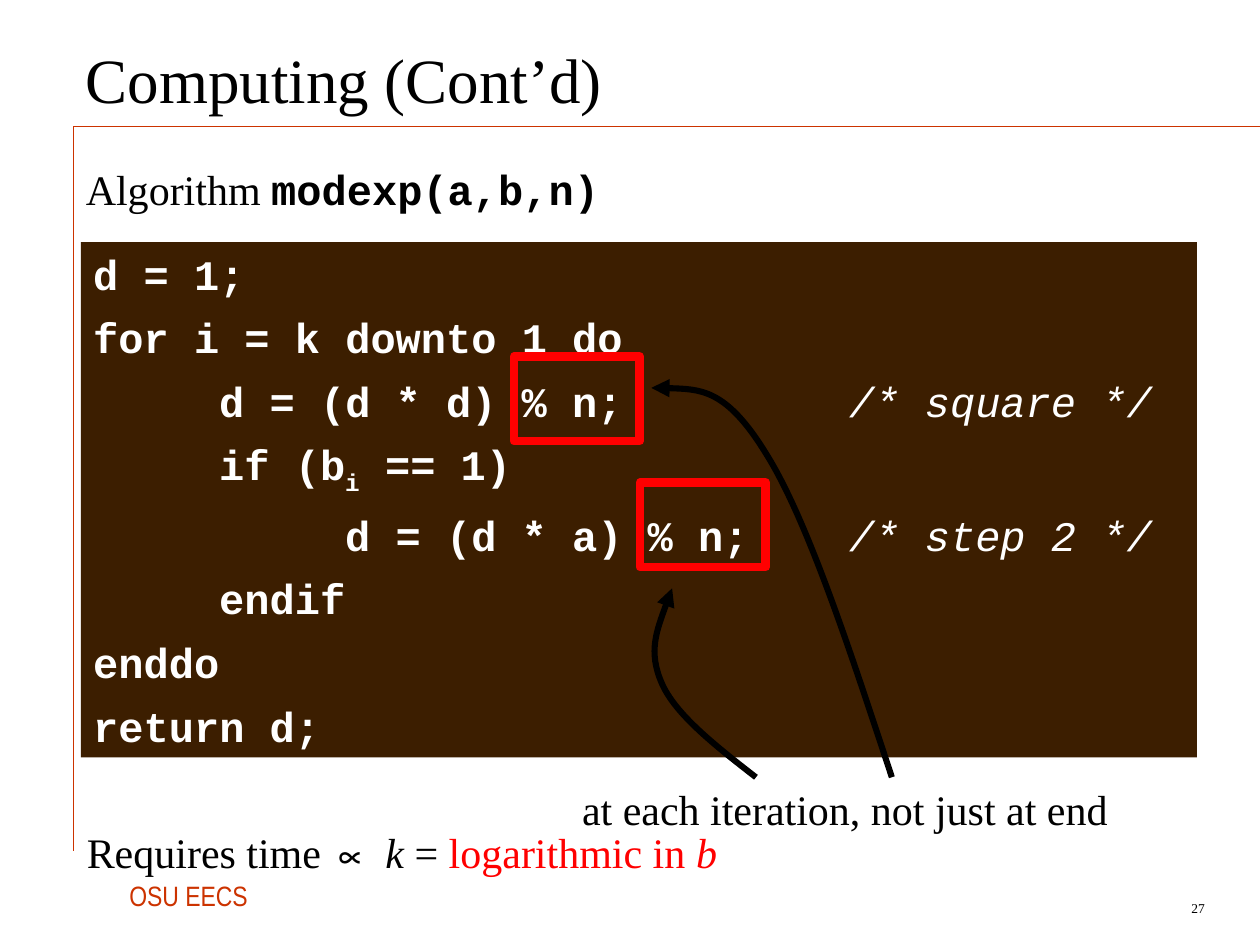
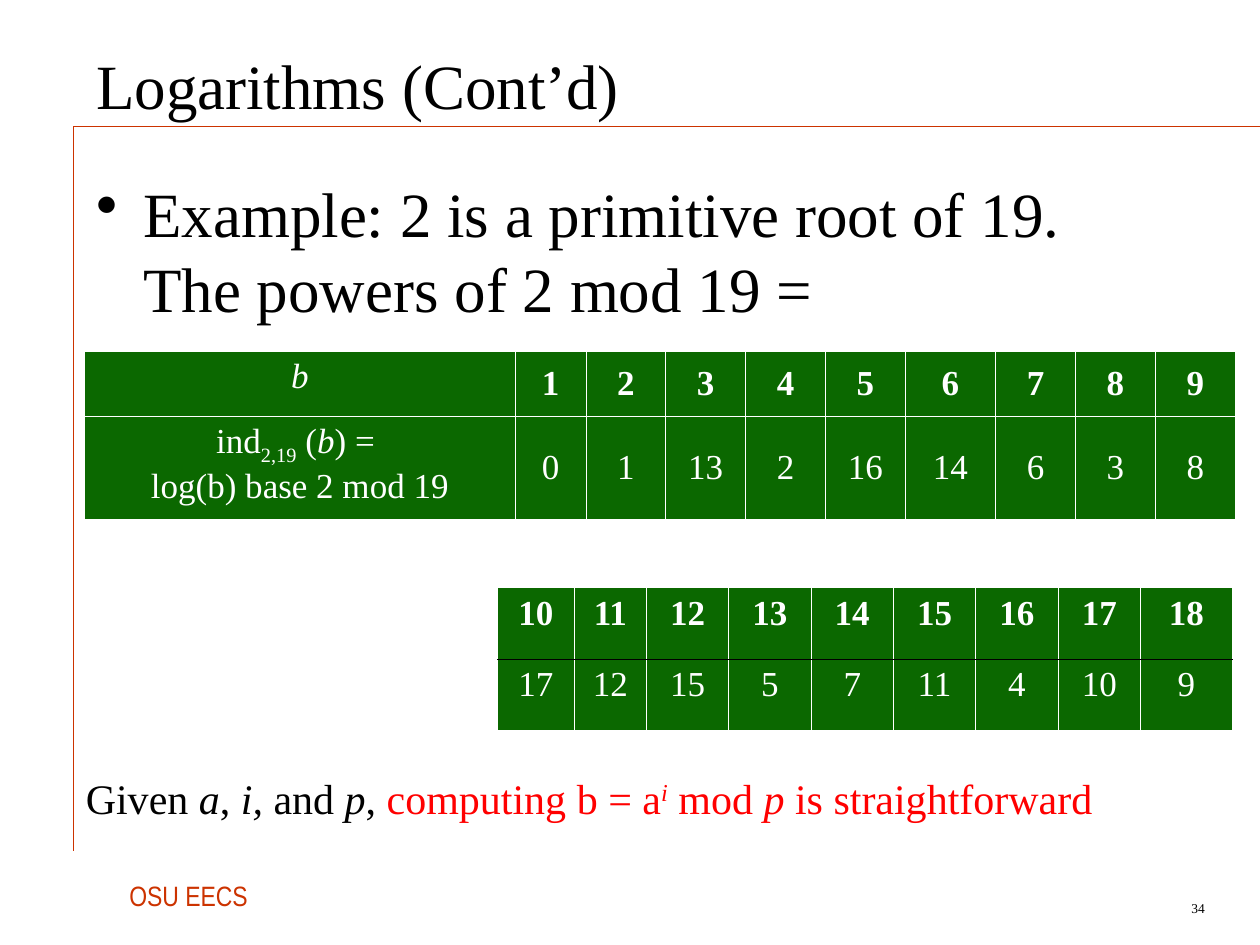
from dataclasses import dataclass

from lxml.etree import SubElement
from pptx import Presentation
from pptx.dml.color import RGBColor
from pptx.enum.shapes import MSO_CONNECTOR, MSO_SHAPE
from pptx.enum.text import MSO_ANCHOR, PP_ALIGN
from pptx.oxml.ns import qn
from pptx.util import Cm, Pt


@dataclass(frozen=True)
class Theme:
    ink: str = "000000"
    paper: str = "FFFFFF"
    accent: str = "CC3300"
    alert: str = "FF0000"
    code_fill: str = "3C1E00"
    table_fill: str = "0B6800"
    serif: str = "Times New Roman"
    sans: str = "Arial"
    narrow: str = "Arial Narrow"
    mono: str = "Courier New"
    heading: float = 36
    text: float = 24
    cell: float = 20
    footer: float = 16
    number: float = 7.7


THEME = Theme()


@dataclass(frozen=True)
class Box:
    left: float
    top: float
    width: float
    height: float

    def inside(self, right, down, width, height):
        return Box(self.left + right, self.top + down, width, height)

    def lengths(self):
        return Cm(self.left), Cm(self.top), Cm(self.width), Cm(self.height)


@dataclass(frozen=True)
class Span:
    text: str
    italic: bool = False
    bold: bool = False
    color: str = ""
    font: str = ""
    baseline: int = 0


def rgb(color):
    return RGBColor.from_string(color)


def add_spans(para, spans, size, color=THEME.ink, font=THEME.serif):
    for span in spans:
        if span.text == "\n":
            para.add_line_break()
            continue
        run = para.add_run()
        run.text = span.text
        run.font.size = Pt(size)
        run.font.name = span.font or font
        run.font.bold = span.bold
        run.font.italic = span.italic
        run.font.color.rgb = rgb(span.color or color)
        if span.baseline:
            run.font._element.set("baseline", str(span.baseline * 1000))


def add_text(page, box, spans, size=THEME.text, color=THEME.ink, font=THEME.serif,
             align=PP_ALIGN.LEFT, anchor=MSO_ANCHOR.TOP, wrap=True):
    frame = page.shapes.add_textbox(*box.lengths()).text_frame
    frame.word_wrap = wrap
    frame.vertical_anchor = anchor
    para = frame.paragraphs[0]
    para.alignment = align
    add_spans(para, spans, size, color, font)
    return para


def add_rule(page, start, end, width):
    rule = page.shapes.add_connector(MSO_CONNECTOR.STRAIGHT, *map(Cm, start + end))
    rule.line.color.rgb = rgb(THEME.accent)
    rule.line.width = Pt(width)
    SubElement(rule._element.spPr, qn("a:effectLst"))


def add_frame(page, title, title_box, number):
    corner = (1.48, 2.54)
    add_rule(page, corner, (25.4, 2.54), 0.25)
    add_rule(page, corner, (1.48, 17.15), 0.75)
    footer = add_text(page, Box(2.36, 17.58, 3.02, 0.94), [Span("OSU EECS")],
                      THEME.footer, THEME.accent, THEME.narrow, wrap=False)
    footer.space_before = Pt(4)
    add_text(page, Box(22.43, 17.98, 2.11, 0.64), [Span(number)], THEME.number,
             align=PP_ALIGN.RIGHT, anchor=MSO_ANCHOR.MIDDLE)
    add_text(page, title_box, [Span(title)], THEME.heading, anchor=MSO_ANCHOR.MIDDLE)


def add_rectangle(page, box):
    shape = page.shapes.add_shape(MSO_SHAPE.RECTANGLE, *box.lengths())
    shape.shadow.inherit = False
    return shape


def add_code(page, box, lines):
    panel = add_rectangle(page, box)
    panel.fill.solid()
    panel.fill.fore_color.rgb = rgb(THEME.code_fill)
    panel.line.fill.background()
    frame = panel.text_frame
    frame.word_wrap = True
    frame.vertical_anchor = MSO_ANCHOR.TOP
    for index, spans in enumerate(lines):
        para = frame.add_paragraph() if index else frame.paragraphs[0]
        para.alignment = PP_ALIGN.LEFT
        para.space_before = Pt(7.5)
        stops = SubElement(para._p.get_or_add_pPr(), qn("a:tabLst"))
        for position in (2.54, 5.08, 15.24):
            SubElement(stops, qn("a:tab"), pos=str(Cm(position)), algn="l")
        add_spans(para, spans, THEME.text, THEME.paper, THEME.mono)


def add_curved_arrow(page, box, points):
    places = [(Cm(box.left + right), Cm(box.top + down)) for right, down in points]
    builder = page.shapes.build_freeform(*places[0])
    builder.add_line_segments(places[1:], close=False)
    arrow = builder.convert_to_shape()
    arrow.shadow.inherit = False
    arrow.fill.background()
    arrow.line.color.rgb = rgb(THEME.ink)
    arrow.line.width = Pt(3.5)
    SubElement(arrow.line._get_or_add_ln(), qn("a:tailEnd"), type="triangle")
    segments = list(arrow._element.iter(qn("a:lnTo")))
    track = segments[0].getparent()
    for start in range(0, len(segments), 3):
        curve = SubElement(track, qn("a:cubicBezTo"))
        for segment in segments[start:start + 3]:
            curve.append(segment[0])
            track.remove(segment)


def add_remarks(page, box):
    for step in (1, 0):
        marker = add_rectangle(page, box.inside(8.73 + 2.54 * step, 2.31 + 2.54 * step, 2.54, 1.7))
        marker.fill.background()
        marker.line.color.rgb = rgb(THEME.alert)
        marker.line.width = Pt(5)
    add_text(page, box.inside(9.37, 10.79, 12.07, 1.27),
             [Span("at each iteration, not just at end")], align=PP_ALIGN.CENTER)
    add_curved_arrow(page, box, [(13.61, 10.79), (12.8, 10.16), (11.98, 9.52), (11.71, 8.89),
                                 (11.43, 8.25), (11.68, 7.62), (11.92, 6.98)])
    add_curved_arrow(page, box, [(16.35, 10.79), (15.49, 8.18), (14.63, 5.56), (13.81, 4.26),
                                 (13, 2.94), (12.26, 2.94), (11.5, 2.94)])


def add_cell_border(cell, side, color):
    line = SubElement(cell._tc.get_or_add_tcPr(), qn(f"a:ln{side}"), w=str(Pt(0.45)))
    SubElement(SubElement(line, qn("a:solidFill")), qn("a:srgbClr"), val=color)


def add_index_table(page, box, widths, heights, rows, anchor, divider):
    table = page.shapes.add_table(len(rows), len(widths), *box.lengths()).table
    table.first_row = False
    table.horz_banding = False
    for column, width in zip(table.columns, widths):
        column.width = Cm(width)
    for row, height in zip(table.rows, heights):
        row.height = Cm(height)
    for row_index, row in enumerate(rows):
        for column_index, content in enumerate(row):
            cell = table.cell(row_index, column_index)
            inner_side = "T" if row_index else "B"
            for side in "LRTB":
                add_cell_border(cell, side, divider if side == inner_side else THEME.paper)
            cell.fill.solid()
            cell.fill.fore_color.rgb = rgb(THEME.table_fill)
            is_number = isinstance(content, int)
            spans = [Span(str(content), bold=row_index == 0)] if is_number else content
            cell.vertical_anchor = anchor if is_number else MSO_ANCHOR.TOP
            para = cell.text_frame.paragraphs[0]
            para.alignment = PP_ALIGN.CENTER
            add_spans(para, spans, THEME.cell, THEME.paper)


def add_bullet(page, box, spans):
    para = add_text(page, box, spans, THEME.heading)
    para.space_before = Pt(9)
    layout = para._p.get_or_add_pPr()
    layout.set("marL", str(Cm(0.95)))
    layout.set("indent", str(Cm(-0.95)))
    SubElement(SubElement(layout, qn("a:buClr")), qn("a:srgbClr"), val=THEME.ink)
    SubElement(layout, qn("a:buChar"), char="•")


def build_computing(page):
    add_frame(page, "Computing (Cont’d)", Box(1.48, 0.38, 23.92, 2.39), "27")
    panel = Box(1.63, 4.88, 22.5, 10.39)
    add_code(page, panel, [
        [Span("d = 1;", bold=True)],
        [Span("for i = k downto 1 do", bold=True)],
        [Span("\td = (d * d) % n;", bold=True), Span("\t/* square */", italic=True)],
        [Span("\tif (b", bold=True), Span("i", bold=True, baseline=-25), Span(" == 1)", bold=True)],
        [Span("\t\td = (d * a) % n;", bold=True), Span("\t/* step 2 */", italic=True)],
        [Span("\tendif", bold=True)],
        [Span("enddo", bold=True)],
        [Span("return d;", bold=True)],
    ])
    add_text(page, Box(1.5, 16.54, 20.6, 1.65), [
        Span("Requires time "), Span("∝ ", font=THEME.sans), Span("k", italic=True), Span(" = "),
        Span("logarithmic in ", color=THEME.alert), Span("b", italic=True, color=THEME.alert)])
    add_text(page, Box(1.48, 3.18, 20.6, 1.9),
             [Span("Algorithm "), Span("modexp(a,b,n)", bold=True, font=THEME.mono)])
    add_remarks(page, panel)


def build_logarithms(page):
    add_frame(page, "Logarithms (Cont’d)", Box(1.69, 0.43, 22.89, 2.54), "34")
    add_bullet(page, Box(1.69, 3.39, 22.94, 13.76), [
        Span("Example: 2 is a primitive root of 19. "), Span("\n"),
        Span("The powers of 2 mod 19 =")])
    index_label = [Span("ind"), Span("2,19", baseline=-25), Span(" ("), Span("b", italic=True),
                   Span(") = "), Span("\n"), Span("log(b) base 2 mod 19")]
    add_index_table(page, Box(1.7, 7.08, 23.2, 3.38),
                    [8.69, 1.42] + [1.61] * 4 + [1.82] + [1.61] * 3, [1.31, 2.07],
                    [[[Span("b", italic=True)], *range(1, 10)],
                     [index_label, 0, 1, 13, 2, 16, 14, 6, 3, 8]],
                    MSO_ANCHOR.MIDDLE, THEME.paper)
    add_index_table(page, Box(10.03, 11.85, 14.81, 2.88),
                    [1.55, 1.45] + [1.66] * 6 + [1.85], [1.44, 1.44],
                    [range(10, 19), [17, 12, 15, 5, 7, 11, 4, 10, 9]],
                    MSO_ANCHOR.TOP, THEME.ink)
    add_text(page, Box(1.48, 15.45, 23.29, 2.96), [
        Span("Given "), Span("a", italic=True), Span(","), Span(" i, ", italic=True),
        Span("and"), Span(" p", italic=True), Span(", "),
        Span("computing b = a", color=THEME.alert),
        Span("i", italic=True, color=THEME.alert, baseline=30),
        Span(" mod ", color=THEME.alert), Span("p", italic=True, color=THEME.alert),
        Span(" is straightforward", color=THEME.alert)])


def main():
    deck = Presentation()
    deck.slide_width = Cm(25.4)
    deck.slide_height = Cm(19.05)
    for build in (build_computing, build_logarithms):
        build(deck.slides.add_slide(deck.slide_layouts[6]))
    deck.save("out.pptx")


if __name__ == "__main__":
    main()
